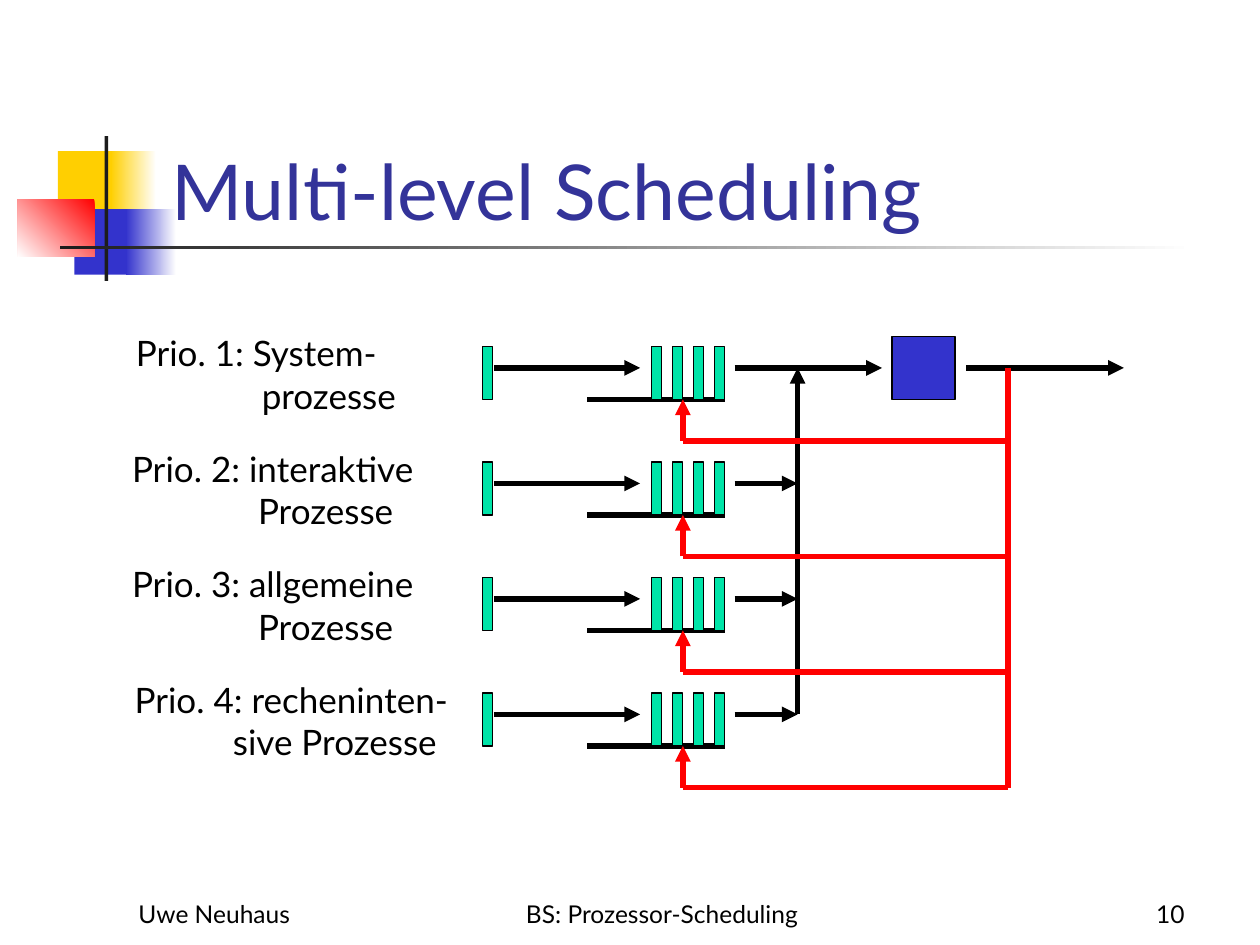
from dataclasses import dataclass

from lxml.etree import SubElement
from pptx import Presentation
from pptx.dml.color import RGBColor
from pptx.enum.shapes import MSO_CONNECTOR, MSO_SHAPE
from pptx.enum.text import MSO_ANCHOR, PP_ALIGN
from pptx.oxml.ns import qn
from pptx.util import Inches, Pt


@dataclass(frozen=True)
class Theme:
    font: str = "Lato"
    title_size: int = 44
    label_size: int = 20
    footer_size: int = 14
    outline: float = 0.75
    flow_width: int = 3
    black: str = "000000"
    white: str = "FFFFFF"
    title: str = "333399"
    yellow: str = "FFCF01"
    blue: str = "3333CC"
    red: str = "FF0000"
    charcoal: str = "1C1C1C"
    green: str = "00E4A8"


THEME = Theme()
LABELS = [
    ("Prio. 1: System-", "prozesse", 0.98, 1),
    ("Prio. 2: interaktive", "Prozesse", 0.95, 1),
    ("Prio. 3: allgemeine", "Prozesse", 0.95, 1),
    ("Prio. 4: recheninten-", "sive Prozesse", 0.97, 0.78),
]
FIRST_TOP = 2.75
ROW_PITCH = 2.75 / 3
BAR_WIDTH, BAR_HEIGHT = 0.08, 0.42
BAR_PITCH = 1 / 6
ARROW_DROP = 0.17
FEEDBACK_DROP = 0.75
MERGE_X, FEEDBACK_X, RETURN_X = 6.33, 8, 5.42


def color(value):
    return RGBColor.from_string(value)


def add_block(slide, box, fill, outline=None):
    block = slide.shapes.add_shape(MSO_SHAPE.RECTANGLE, *map(Inches, box))
    block.shadow.inherit = False
    block.fill.solid()
    block.fill.fore_color.rgb = color(fill)
    if outline:
        block.line.color.rgb = color(outline)
        block.line.width = Pt(THEME.outline)
    else:
        block.line.fill.background()
    return block


def add_fade(slide, box, start, end, angle=180):
    fade = add_block(slide, box, start)
    fade.fill.gradient()
    fade.fill.gradient_angle = angle
    for stop, value in zip(fade.fill.gradient_stops, (start, end)):
        stop.color.rgb = color(value)


def add_flow(slide, start, end, stroke=THEME.black, arrow=True):
    flow = slide.shapes.add_connector(
        MSO_CONNECTOR.STRAIGHT, *map(Inches, (*start, *end))
    )
    flow.line.color.rgb = color(stroke)
    flow.line.width = Pt(THEME.flow_width)
    if arrow:
        SubElement(flow.line._get_or_add_ln(), qn("a:tailEnd"), type="triangle")
    SubElement(flow._element.spPr, qn("a:effectLst"))


def add_text(slide, box, text, size, fill=THEME.black, align=PP_ALIGN.LEFT,
             anchor=MSO_ANCHOR.BOTTOM, hanging=0):
    frame = slide.shapes.add_textbox(*map(Inches, box)).text_frame
    frame.word_wrap = True
    frame.vertical_anchor = anchor
    paragraph = frame.paragraphs[0]
    paragraph.text = text
    paragraph.alignment = align
    paragraph.line_spacing = 1.01
    if hanging:
        properties = paragraph._p.get_or_add_pPr()
        properties.set("marL", str(Inches(hanging)))
        properties.set("indent", str(-Inches(hanging)))
    for run in paragraph.runs:
        run.font.name = THEME.font
        run.font.size = Pt(size)
        run.font.color.rgb = color(fill)


def add_ornament(slide):
    add_block(slide, (0.46, 1.2, 0.48, 0.52), THEME.yellow)
    add_fade(slide, (0.88, 1.2, 0.36, 0.52), THEME.white, THEME.yellow)
    add_block(slide, (0.59, 1.66, 0.46, 0.52), THEME.blue)
    add_fade(slide, (1, 1.66, 0.4, 0.52), THEME.white, THEME.blue)
    add_fade(slide, (0.14, 1.58, 0.61, 0.46), THEME.red, THEME.white, 225)
    add_block(slide, (0.83, 1.08, 0.03, 1.15), THEME.charcoal)
    add_fade(slide, (0.48, 1.95, 9, 0.03), THEME.white, THEME.charcoal)


def add_footer(slide):
    for box, text, align in (
        ((1, 7.08, 2.08, 0.34), "Uwe Neuhaus", PP_ALIGN.LEFT),
        ((3.67, 7.08, 3.17, 0.34), "BS: Prozessor-Scheduling", PP_ALIGN.CENTER),
        ((7.42, 7.05, 2.08, 0.37), "10", PP_ALIGN.RIGHT),
    ):
        add_text(slide, box, text, THEME.footer_size, align=align)


def add_queue(slide, top, exit_x):
    base, flow_y = top + BAR_HEIGHT, top + ARROW_DROP
    add_flow(slide, (5.75, base), (4.66, base), arrow=False)
    waiting = [5.17 + place * BAR_PITCH for place in range(4)]
    for left in [3.83, *waiting]:
        add_block(slide, (left, top, BAR_WIDTH, BAR_HEIGHT),
                  THEME.green, THEME.black)
    add_flow(slide, (3.92, flow_y), (5.08, flow_y))
    add_flow(slide, (5.83, flow_y), (exit_x, flow_y))


def add_feedback(slide, top):
    feedback_y = top + FEEDBACK_DROP
    add_flow(slide, (FEEDBACK_X, feedback_y), (RETURN_X, feedback_y),
             THEME.red, arrow=False)
    add_flow(slide, (RETURN_X, feedback_y), (RETURN_X, top + BAR_HEIGHT),
             THEME.red)


def add_scheduler(slide):
    tops = [FIRST_TOP + row * ROW_PITCH for row in range(len(LABELS))]
    first_flow, last_flow = tops[0] + ARROW_DROP, tops[-1] + ARROW_DROP
    add_block(slide, (7.08, 2.67, 0.5, 0.5), THEME.blue, THEME.black)
    add_flow(slide, (7.67, first_flow), (8.92, first_flow))
    for row, (top, label) in enumerate(zip(tops, LABELS)):
        first_line, second_line, left, hanging = label
        add_queue(slide, top, MERGE_X if row else 7)
        add_text(slide, (left, top - ARROW_DROP, 2.8, 0.78),
                 f"{first_line}\v{second_line}", THEME.label_size,
                 anchor=MSO_ANCHOR.TOP, hanging=hanging)
    add_flow(slide, (MERGE_X, last_flow), (MERGE_X, first_flow))
    add_flow(slide, (FEEDBACK_X, first_flow),
             (FEEDBACK_X, tops[-1] + FEEDBACK_DROP), THEME.red, arrow=False)
    for top in tops:
        add_feedback(slide, top)


def main():
    presentation = Presentation()
    presentation.slide_width = Inches(10)
    presentation.slide_height = Inches(7.5)
    slide = presentation.slides.add_slide(presentation.slide_layouts[6])
    add_ornament(slide)
    add_footer(slide)
    add_text(slide, (1.26, 0.67, 8.52, 1.25), "Multi-level Scheduling",
             THEME.title_size, THEME.title)
    add_scheduler(slide)
    presentation.save("out.pptx")


if __name__ == "__main__":
    main()
